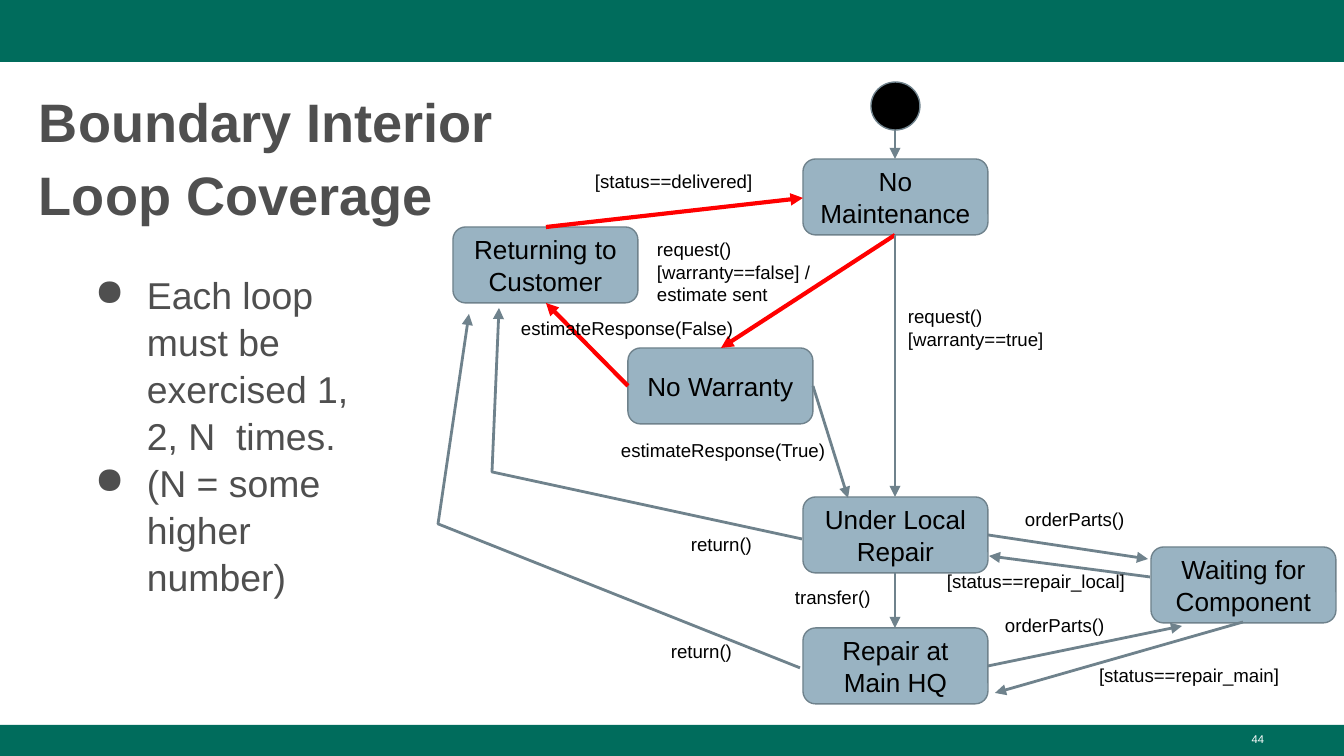
from pptx import Presentation
from pptx.dml.color import RGBColor
from pptx.enum.shapes import MSO_CONNECTOR, MSO_SHAPE
from pptx.enum.text import MSO_ANCHOR, PP_ALIGN
from pptx.oxml.ns import qn
from pptx.util import Pt
from lxml import etree

RECT, OVAL, ROUND = MSO_SHAPE.RECTANGLE, MSO_SHAPE.OVAL, MSO_SHAPE.ROUNDED_RECTANGLE
STRAIGHT = MSO_CONNECTOR.STRAIGHT
LEFT, CENTER, RIGHT = PP_ALIGN.LEFT, PP_ALIGN.CENTER, PP_ALIGN.RIGHT
TOP, MIDDLE = MSO_ANCHOR.TOP, MSO_ANCHOR.MIDDLE

PX = 914400 / 134.4
COLORS = {name: RGBColor.from_string(code) for name, code in {
    "green": "006C5C", "text": "4F4F4F", "white": "FFFFFF", "black": "000000",
    "node": "99B3C2", "edge": "6F828C", "loop": "FF0000"}.items()}


def px(*lengths):
    return [round(length * PX) for length in lengths]


def write(shape, lines, size, color, align=LEFT, anchor=TOP, margins=(13, 13, 13, 13),
          bold=False, spacing=None, bullet=None):
    frame = shape.text_frame
    frame.word_wrap = True
    frame.vertical_anchor = anchor
    for side, margin in zip(("left", "top", "right", "bottom"), px(*margins)):
        setattr(frame, f"margin_{side}", margin)
    for index, line in enumerate(lines):
        para = frame.add_paragraph() if index else frame.paragraphs[0]
        para.alignment = align
        if spacing:
            para.line_spacing = spacing
        if bullet:
            props = para._p.get_or_add_pPr()
            indent, hang = px(67, -52)
            props.set("marL", str(indent))
            props.set("indent", str(hang))
            etree.SubElement(props, qn("a:buChar")).set("char", bullet)
        span = para.add_run()
        span.text = line
        formats = {"name": "Arial", "size": Pt(size), "bold": bold}
        for name, value in formats.items():
            setattr(span.font, name, value)
        span.font.color.rgb = COLORS[color]


deck = Presentation()
deck.slide_width, deck.slide_height = px(1344, 756)
page = deck.slides.add_slide(deck.slide_layouts[6])
shapes = page.shapes

# Top and bottom bands
for top, height in ((0, 62), (725, 31)):
    band = shapes.add_shape(RECT, *px(0, top, 1344, height))
    band.shadow.inherit = False
    band.fill.solid()
    band.fill.fore_color.rgb = COLORS["green"]
    band.line.fill.background()

# Title, bullets and page number
title = shapes.add_textbox(*px(26, 73, 1208, 98))
write(title, ["Boundary Interior", "Loop Coverage"], 29, "text",
      margins=(13, 7, 13, 7), bold=True, spacing=1.13)
body = shapes.add_textbox(*px(67, 187, 332, 501))
write(body, ["Each loop must be exercised 1, 2, N  times.", "(N = some higher number)"],
      20, "text", margins=(13, 83, 13, 13), spacing=1.05, bullet="●")
number = shapes.add_textbox(*px(964, 726, 313, 30))
write(number, ["44"], 6, "white", align=RIGHT, margins=(13, 7, 13, 7))

# Start state and named states
start = (OVAL, 871, 82, 49, 48, "black", None)
states = [(ROUND, left, top, 185, 76, "node", name) for left, top, name in (
    (803, 159, "No Maintenance"),
    (628, 348, "No Warranty"),
    (803, 497, "Under Local Repair"),
    (453, 227, "Returning to Customer"),
    (803, 628, "Repair at Main HQ"),
    (1151, 547, "Waiting for Component"))]
for kind, left, top, width, height, fill, name in [start] + states:
    state = shapes.add_shape(kind, *px(left, top, width, height))
    state.shadow.inherit = False
    state.fill.solid()
    state.fill.fore_color.rgb = COLORS[fill]
    state.line.color.rgb = COLORS["edge"]
    state.line.width = Pt(0.75)
    if name:
        write(state, [name], 14, "black", align=CENTER, anchor=MIDDLE)

# Transitions: colour, then the points from tail to arrowhead
transitions = (
    ("edge", (895, 130), (895, 159)),
    ("loop", (895, 235), (721, 348)),
    ("edge", (895, 235), (895, 497)),
    ("edge", (813, 386), (848, 498)),
    ("loop", (628, 386), (546, 303)),
    ("loop", (546, 227), (803, 198)),
    ("edge", (895, 573), (895, 628)),
    ("edge", (988, 535), (1148, 559)),
    ("edge", (1150, 577), (989, 556)),
    ("edge", (802, 539), (492, 472), (499, 308)),
    ("edge", (800, 668), (438, 524), (469, 314)),
    ("edge", (988, 666), (1182, 626)),
    ("edge", (1243, 622), (995, 693)),
)
for color, *points in transitions:
    if len(points) == 2:
        arrow = shapes.add_connector(STRAIGHT, *px(*points[0], *points[1]))
        etree.SubElement(arrow._element.spPr, qn("a:effectLst"))
    else:
        builder = shapes.build_freeform(*points[0], scale=PX)
        builder.add_line_segments(points[1:], close=False)
        arrow = builder.convert_to_shape()
        arrow.fill.background()
        arrow.shadow.inherit = False
    arrow.line.color.rgb = COLORS[color]
    arrow.line.width = Pt(2.25 if color == "loop" else 1.5)
    etree.SubElement(arrow.line._get_or_add_ln(), qn("a:tailEnd")).set("type", "triangle")

# Transition labels
for left, top, width, height, label in (
    (644, 225, 207, 95, "request() [warranty==false] / estimate sent"),
    (895, 292, 207, 73, "request() [warranty==true]"),
    (608, 428, 278, 50, "estimateResponse(True)"),
    (508, 306, 243, 50, "estimateResponse(False)"),
    (582, 159, 185, 50, "[status==delivered]"),
    (782, 575, 125, 50, "transfer()"),
    (1012, 497, 140, 50, "orderParts()"),
    (934, 559, 250, 50, "[status==repair_local]"),
    (678, 522, 125, 50, "return()"),
    (658, 629, 125, 50, "return()"),
    (992, 603, 140, 50, "orderParts()"),
    (1086, 653, 250, 50, "[status==repair_main]"),
):
    box = shapes.add_textbox(*px(left, top, width, height))
    write(box, [label], 10, "black")

deck.save("out.pptx")
